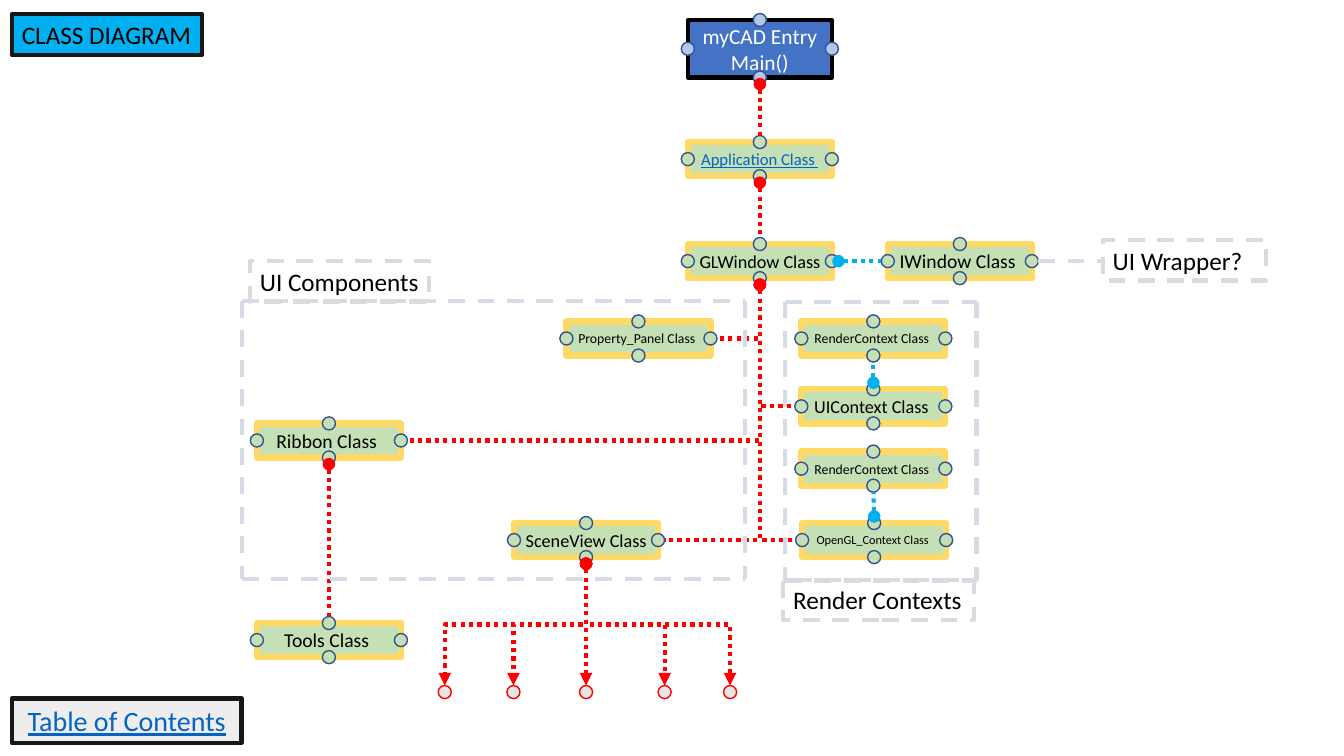
from lxml.etree import SubElement
from pptx import Presentation
from pptx.dml.color import RGBColor
from pptx.enum.dml import MSO_LINE as Dash
from pptx.enum.shapes import MSO_CONNECTOR as Conn, MSO_SHAPE as Form
from pptx.enum.text import MSO_ANCHOR as Anchor, PP_ALIGN as Align
from pptx.oxml.ns import qn
from pptx.util import Cm, Pt

RED, CYAN, BLUE, BLACK = "FF0000", "00B0F0", "0563C1", "000000"
GREEN, GOLD, NAVY, GRAY = "C5E0B4", "FFD966", "325491", "DBDBDB"
WIDE, HIGH, DOT = 3.63, 0.86, 0.33

# name: centre x, centre y, text, size
NODES = {
    "app": (19.15, 4.01, "Application Class ", 11.9),
    "window": (19.15, 6.58, "GLWindow Class ", 13),
    "base": (24.19, 6.58, "IWindow Class ", 14),
    "ui": (22.01, 10.24, "UIContext Class ", 13),
    "opengl": (22.03, 13.61, "OpenGL_Context Class ", 8.8),
    "render1": (22.01, 8.53, "RenderContext Class ", 9.8),
    "render2": (22.01, 11.81, "RenderContext Class ", 9.8),
    "panel": (16.09, 8.53, "Property_Panel Class ", 9.8),
    "scene": (14.77, 13.61, "SceneView Class ", 13),
    "ribbon": (8.29, 11.1, "Ribbon Class ", 14),
    "tools": (8.29, 16.13, "Tools Class ", 14),
}
MAIN = (19.15, 1.23, "myCAD Entry\nMain()", 15.3)
MAIN_HIGH = 1.45

# from, side, to, side, colour
LINKS = [
    ("main", "bottom", "app", "top", RED),
    ("app", "bottom", "window", "top", RED),
    ("window", "right", "base", "left", CYAN),
    ("window", "bottom", "ui", "left", RED),
    ("window", "bottom", "opengl", "left", RED),
    ("window", "bottom", "panel", "right", RED),
    ("window", "bottom", "scene", "right", RED),
    ("window", "bottom", "ribbon", "right", RED),
    ("ui", "top", "render1", "bottom", CYAN),
    ("opengl", "top", "render2", "bottom", CYAN),
    ("ribbon", "bottom", "tools", "top", RED),
]
LEAVES, LEAF_Y = [18.4, 11.21, 14.77, 16.75, 12.94], 17.44

# left, top, right, bottom
FRAMES = [(6.1, 7.58, 18.78, 14.58), (19.78, 7.6, 24.61, 14.63)]

# text, left, top, width, height, format
LABELS = [
    ("CLASS DIAGRAM", 0.3, 0.36, 4.8, 1.02, dict(fill=CYAN, line="181717")),
    ("UI Components", 6.3, 6.58, 4.52, 1.02, dict(dash=Dash.DASH)),
    ("Render Contexts", 19.74, 14.61, 4.8, 1.02, dict(dash=Dash.DASH)),
    ("UI Wrapper?", 27.79, 6.05, 4.11, 1.02, dict(dash=Dash.DASH)),
    ("Table of Contents", 0.3, 17.6, 5.79, 1.12,
     dict(fill="EDEDED", line="181717", size=20, color=BLUE,
          under=True, align=Align.CENTER)),
]
SIDES = {"top": (0, -1), "right": (1, 0), "left": (-1, 0), "bottom": (0, 1)}


def rgb(code):
    """Turn a hex string into a colour."""
    return RGBColor.from_string(code)


def write(shape, text, size=18, color=BLACK, under=None, align=Align.LEFT,
          anchor=Anchor.TOP):
    """Put formatted text into a shape, one paragraph a line."""
    frame = shape.text_frame
    frame.word_wrap, frame.vertical_anchor = True, anchor
    frame.text = text
    for para in frame.paragraphs:
        para.alignment = align
        font = para.runs[0].font
        font.name, font.size, font.underline = "Calibri", Pt(size), under
        font.color.rgb = rgb(color)


def draw(form, left, top, wide, high, fill=None, line=GRAY, width=3, dash=None):
    """Add a preset shape with its fill and outline."""
    shape = slide.shapes.add_shape(form, Cm(left), Cm(top), Cm(wide), Cm(high))
    shape.shadow.inherit = False
    if fill:
        shape.fill.solid()
        shape.fill.fore_color.rgb = rgb(fill)
    else:
        shape.fill.background()
    shape.line.color.rgb, shape.line.width = rgb(line), Pt(width)
    if dash:
        shape.line.dash_style = dash
    return shape


def spot(x, y, fill, line):
    """Add a small circle around a point."""
    draw(Form.OVAL, x - DOT / 2, y - DOT / 2, DOT, DOT, fill, line, 1)


def node(x, y, text, size, high=HIGH, fill=GREEN, line=GOLD, width=4.5,
         dots=GREEN, **style):
    """Add a box with a dot on each side and return its four ports."""
    box = draw(Form.RECTANGLE, x - WIDE / 2, y - high / 2, WIDE, high,
               fill, line, width)
    write(box, text, size, align=Align.CENTER, anchor=Anchor.MIDDLE, **style)
    ports = {}
    for side, (dx, dy) in SIDES.items():
        spot(x + dx * WIDE / 2, y + dy * high / 2, dots, NAVY)
        ports[side] = (x + dx * (WIDE + DOT) / 2, y + dy * (high + DOT) / 2)
    return ports


def wire(start, end, color, bend=None, dash=Dash.ROUND_DOT, head="oval",
         tail=None):
    """Join two points; a bend names an elbow that leaves downwards."""
    (x1, y1), (x2, y2) = start, end
    if bend:
        mx, my, w, h = (x1 + x2) / 2, (y1 + y2) / 2, y2 - y1, abs(x2 - x1)
        ends = mx - w / 2, my - h / 2, mx + w / 2, my + h / 2
    else:
        ends = x1, y1, x2, y2
    kind = Conn.ELBOW if bend else Conn.STRAIGHT
    link = slide.shapes.add_connector(kind, *map(Cm, ends))
    link.line.color.rgb, link.line.width = rgb(color), Pt(3)
    link.line.dash_style = dash
    props = link._element.spPr
    if bend:
        props.find(qn("a:prstGeom")).set("prst", bend)
        frame = props.find(qn("a:xfrm"))
        frame.set("rot", "16200000" if x2 > x1 else "5400000")
        if x2 > x1:
            frame.set("flipH", "1")
    stroke = props.find(qn("a:ln"))
    for tag, shape in (("a:headEnd", head), ("a:tailEnd", tail)):
        if shape:
            SubElement(stroke, qn(tag)).set("type", shape)
    SubElement(props, qn("a:effectLst"))


def rule(start, end):
    """Add a pale dashed line."""
    wire(start, end, "D6DCE5", dash=Dash.DASH, head=None)


deck = Presentation()
deck.slide_width, deck.slide_height = Cm(33.87), Cm(19.05)
slide = deck.slides.add_slide(deck.slide_layouts[6])

ports = {"main": node(*MAIN, high=MAIN_HIGH, fill="4472C4", line=BLACK, width=3,
                      dots="B4C7E7", color="FFFFFF")}
for name, spec in NODES.items():
    style = dict(color=BLUE, under=True) if name == "app" else {}
    ports[name] = node(*spec, **style)

for first, out, last, into, color in LINKS:
    turn = out == "bottom" and into != "top"
    wire(ports[first][out], ports[last][into], color,
         "bentConnector2" if turn else None)

root = ports["scene"]["bottom"]
for x in LEAVES:
    wire(root, (x, LEAF_Y - DOT / 2), RED,
         "bentConnector3" if x != root[0] else None, tail="triangle")
    spot(x, LEAF_Y, "E7E6E6", RED)

for left, top, right, low in FRAMES:
    for y in (top, low):
        rule((left, y), (right, y))
    for x in (left, right):
        rule((x, top), (x, low))
rule((26.16, 6.58), (27.79, 6.58))

for text, left, top, wide, high, style in LABELS:
    look = {k: style[k] for k in style if k in ("fill", "line", "dash")}
    form = {k: style[k] for k in style if k not in look}
    write(draw(Form.RECTANGLE, left, top, wide, high, **look), text, **form)

deck.save("out.pptx")
